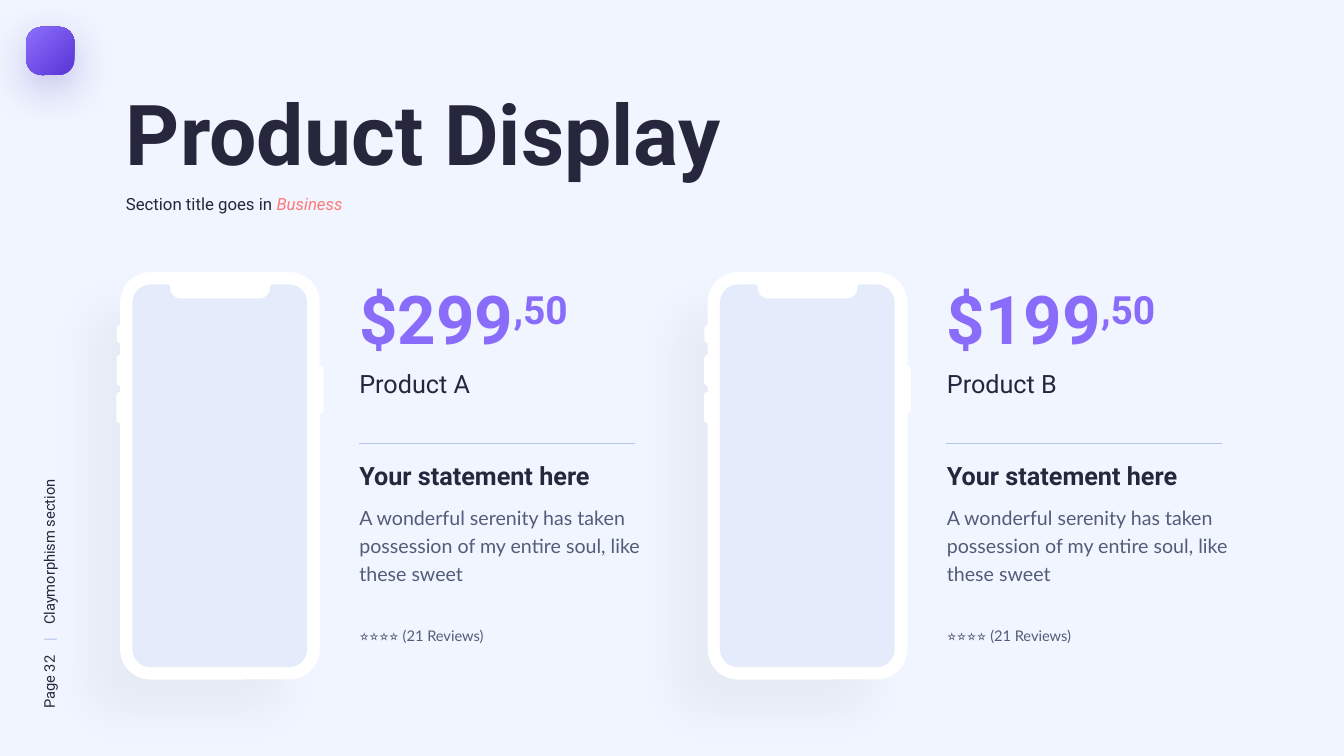
from dataclasses import dataclass
from math import cos, radians, sin

from lxml import etree
from pptx import Presentation
from pptx.dml.color import RGBColor as RGB
from pptx.enum.shapes import MSO_CONNECTOR as CONN, MSO_SHAPE as SHAPE
from pptx.enum.text import MSO_ANCHOR as ANCHOR, MSO_AUTO_SIZE as AUTO, PP_ALIGN as ALIGN
from pptx.oxml import parse_xml
from pptx.oxml.ns import nsdecls, qn
from pptx.util import Pt


@dataclass(frozen=True)
class Theme:
    background: str = "F0F5FF"
    ink: str = "26273C"
    muted: str = "535C79"
    accent: str = "FF7979"
    violet: str = "8A6CFA"
    violet_dark: str = "5B38D8"
    rule: str = "B3C5EA"
    phone: str = "FFFFFF"
    screen: str = "E4ECFB"
    badge_shadow: str = "3F21AB"
    phone_shadow: str = "000000"
    heading_font: str = "Roboto"
    body_font: str = "Lato"
    title: float = 60
    price: float = 48
    heading: float = 18
    body: float = 14
    subtitle: float = 12
    small: float = 10.5


@dataclass(frozen=True)
class Run:
    text: str
    size: float
    color: str
    font: str = "Roboto"
    bold: bool = False
    italic: bool = False
    baseline: int = 0


@dataclass(frozen=True)
class Box:
    x: float
    y: float
    w: float
    h: float
    radius: float = 0


@dataclass(frozen=True)
class Shadow:
    color: str
    opacity: int
    blur: float
    distance: float
    angle: int


@dataclass(frozen=True)
class Product:
    name: str
    price: str
    cents: str


T = Theme()
PHONE = Box(85.8, 194.4, 142.6, 291, 21.6)
SCREEN = Box(94.6, 203.2, 124.8, 273.4, 13)
BUTTONS = [
    Box(226.9, 261.2, 4, 34, 2),
    Box(83.3, 253.4, 5, 22.2, 2.5),
    Box(83.1, 280, 5, 22.2, 2.5),
    Box(83.5, 232.2, 4.4, 12.8, 2.2),
]
PRODUCTS = [Product("Product A", "$299", ",50"), Product("Product B", "$199", ",50")]
PITCH = 419.7
TEXT_X, TEXT_W = 249.6, 216
STATEMENT = "A wonderful serenity has taken possession of my entire soul, like these sweet"


def write(sp, runs: list[Run], spacing: float = 1.0, tabs: tuple = ()) -> None:
    tf = sp.text_frame
    tf.word_wrap = True
    tf.auto_size = AUTO.SHAPE_TO_FIT_TEXT
    tf.vertical_anchor = ANCHOR.TOP
    p = tf.paragraphs[0]
    if tabs:
        tab_list = etree.SubElement(p._p.get_or_add_pPr(), qn("a:tabLst"))
        for stop in tabs:
            etree.SubElement(tab_list, qn("a:tab"), pos=str(Pt(stop)), algn="l")
    p.alignment = ALIGN.LEFT
    p.line_spacing = spacing
    for run in runs:
        r = p.add_run()
        r.text = run.text
        f = r.font
        f.name, f.size = run.font, Pt(run.size)
        f.bold, f.italic = run.bold, run.italic
        f.color.rgb = RGB.from_string(run.color)
        if run.baseline:
            r._r.get_or_add_rPr().set("baseline", str(run.baseline * 1000))


def add_text(s, box: Box, runs: list[Run], spacing: float = 1.0, tabs: tuple = ()):
    sp = s.shapes.add_textbox(Pt(box.x), Pt(box.y), Pt(box.w), Pt(box.h))
    write(sp, runs, spacing, tabs)
    return sp


def finish(sp, color: str) -> None:
    sp.fill.solid()
    sp.fill.fore_color.rgb = RGB.from_string(color)
    sp.line.fill.background()
    sp.shadow.inherit = False


def add_rounded(shapes, box: Box, color: str, dx: float = 0):
    sp = shapes.add_shape(SHAPE.ROUNDED_RECTANGLE, Pt(box.x + dx), Pt(box.y), Pt(box.w), Pt(box.h))
    sp.adjustments[0] = box.radius / min(box.w, box.h)
    finish(sp, color)
    return sp


def cast_shadow(sp, shadow: Shadow) -> None:
    sp.element.spPr.find(qn("a:effectLst")).append(parse_xml(
        f'<a:outerShdw {nsdecls("a")} blurRad="{Pt(shadow.blur)}" dist="{Pt(shadow.distance)}" '
        f'dir="{shadow.angle * 60000}" algn="t" rotWithShape="0"><a:srgbClr val="{shadow.color}">'
        f'<a:alpha val="{shadow.opacity * 1000}"/></a:srgbClr></a:outerShdw>'))


def add_badge(s) -> None:
    sp = add_rounded(s.shapes, Box(18.8, 19.2, 34.4, 34.4, 11), T.violet)
    sp.fill.gradient()
    for stop, color, position in zip(sp.fill.gradient_stops, (T.violet, T.violet_dark), (0.05, 0.95)):
        stop.color.rgb = RGB.from_string(color)
        stop.position = position
    grad = sp.element.spPr.find(qn("a:gradFill"))
    grad.replace(grad.find(qn("a:lin")), parse_xml(
        f'<a:path {nsdecls("a")} path="circle"><a:fillToRect r="100000" b="100000"/></a:path>'))
    cast_shadow(sp, Shadow(T.badge_shadow, 25, 30, 10, 90))


def arc(cx: float, cy: float, radius: float, start: int, end: int) -> list[tuple[float, float]]:
    steps = 12
    angles = [radians(start + (end - start) * i / steps) for i in range(steps + 1)]
    return [(cx + radius * cos(a), cy + radius * sin(a)) for a in angles]


def add_screen(shapes, dx: float) -> None:
    w, h, r = SCREEN.w, SCREEN.h, SCREEN.radius
    left, right, depth, bend, lip = 27, w - 26.6, 10, 7.4, 2
    outline = [
        *arc(r, r, r, 180, 270),
        *arc(left - lip, lip, lip, 270, 360),
        *arc(left + bend, depth - bend, bend, 180, 90),
        *arc(right - bend, depth - bend, bend, 90, 0),
        *arc(right + lip, lip, lip, 180, 270),
        *arc(w - r, r, r, 270, 360),
        *arc(w - r, h - r, r, 0, 90),
        *arc(r, h - r, r, 90, 180),
    ]
    points = [(Pt(SCREEN.x + dx + x), Pt(SCREEN.y + y)) for x, y in outline]
    builder = shapes.build_freeform(*points[0])
    builder.add_line_segments(points[1:], close=True)
    finish(builder.convert_to_shape(), T.screen)


def add_phone(s, dx: float) -> None:
    shapes = s.shapes.add_group_shape().shapes
    cast_shadow(add_rounded(shapes, PHONE, T.phone, dx), Shadow(T.phone_shadow, 4, 30, 35, 135))
    add_screen(shapes, dx)
    for button in BUTTONS:
        add_rounded(shapes, button, T.phone, dx)


def add_product(s, product: Product, dx: float) -> None:
    add_phone(s, dx)
    price = Run(product.price, T.price, T.violet, bold=True)
    cents = Run(product.cents, T.price, T.violet, bold=True, baseline=30)
    rows = [
        (194.4, 65.5, [price, cents], 1.0),
        (259.9, 28.8, [Run(product.name, T.heading, T.ink)], 1.0),
        (325.4, 28.8, [Run("Your statement here", T.heading, T.ink, bold=True)], 1.0),
        (354.2, 66.2, [Run(STATEMENT, T.body, T.muted, T.body_font)], 1.2),
        (444.2, 20.9, [Run("⭐⭐⭐⭐ (21 Reviews)", T.small, T.muted, T.body_font)], 1.0),
    ]
    for y, h, runs, spacing in rows:
        add_text(s, Box(TEXT_X + dx, y, TEXT_W, h), runs, spacing)
    rule = s.shapes.add_connector(CONN.STRAIGHT, Pt(256.3 + dx), Pt(316.8), Pt(453.3 + dx), Pt(316.8))
    rule.line.color.rgb = RGB.from_string(T.rule)
    rule.line.width = Pt(1)
    etree.SubElement(rule.element.spPr, qn("a:effectLst"))


def main() -> None:
    prs = Presentation()
    prs.slide_width, prs.slide_height = Pt(960), Pt(540)
    s = prs.slides.add_slide(prs.slide_layouts[5])
    s.background.fill.solid()
    s.background.fill.fore_color.rgb = RGB.from_string(T.background)

    side = add_text(s, Box(-79.9, 387.4, 231.1, 20.9), [
        Run("Page 32\t", T.small, T.ink),
        Run("|\t", T.small, T.rule),
        Run("Claymorphism section", T.small, T.ink),
    ], tabs=(48, 60))
    side.rotation = 270
    add_badge(s)

    title = s.shapes.title
    title.left, title.top, title.width, title.height = Pt(82.8), Pt(54.7), Pt(617.8), Pt(79.9)
    write(title, [Run("Product Display", T.title, T.ink, bold=True)])
    add_text(s, Box(82.8, 134.6, 256.3, 21.6), [
        Run("Section title goes in ", T.subtitle, T.ink),
        Run("Business", T.subtitle, T.accent, italic=True),
    ])
    for i, product in enumerate(PRODUCTS):
        add_product(s, product, i * PITCH)
    prs.save("out.pptx")


if __name__ == "__main__":
    main()
